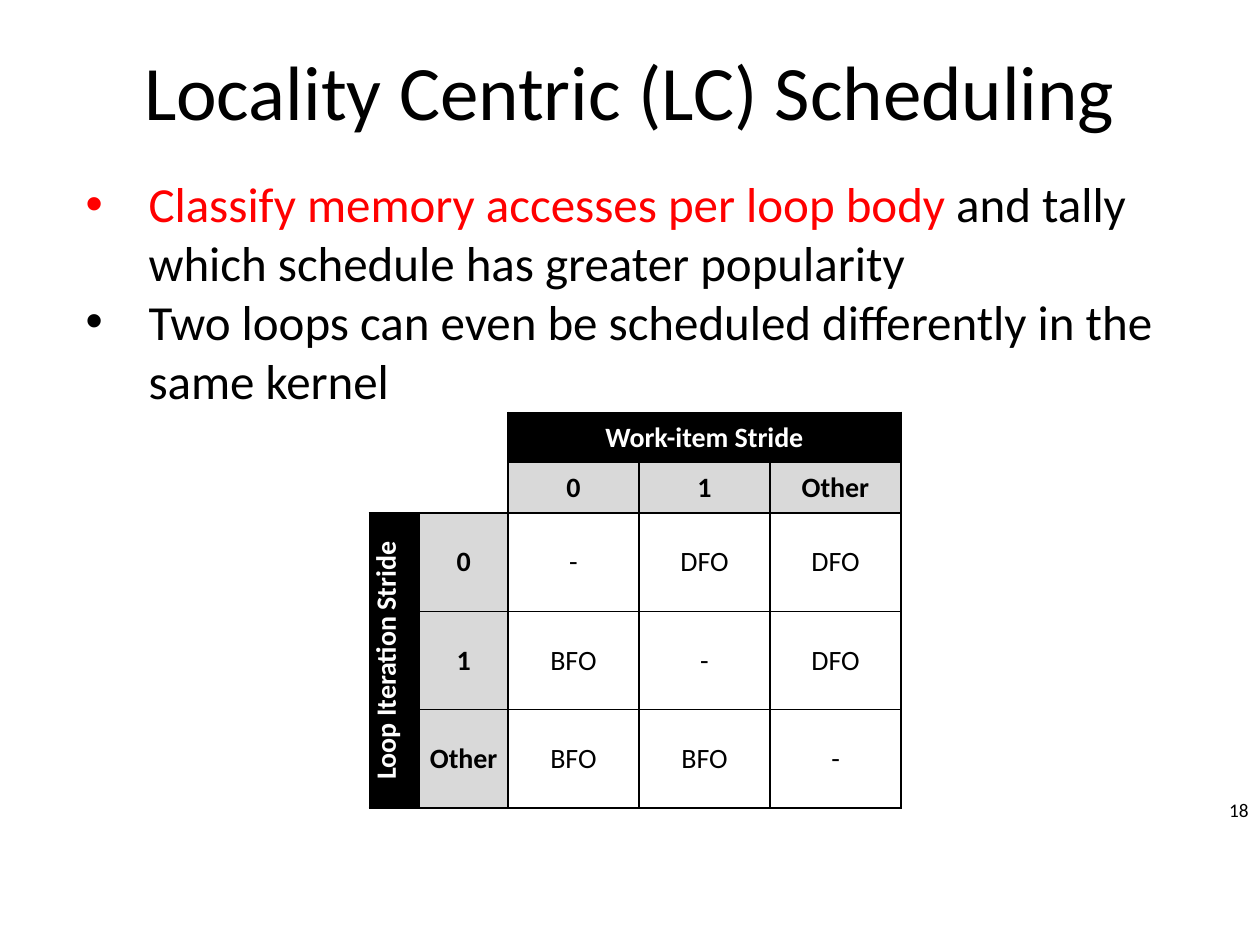
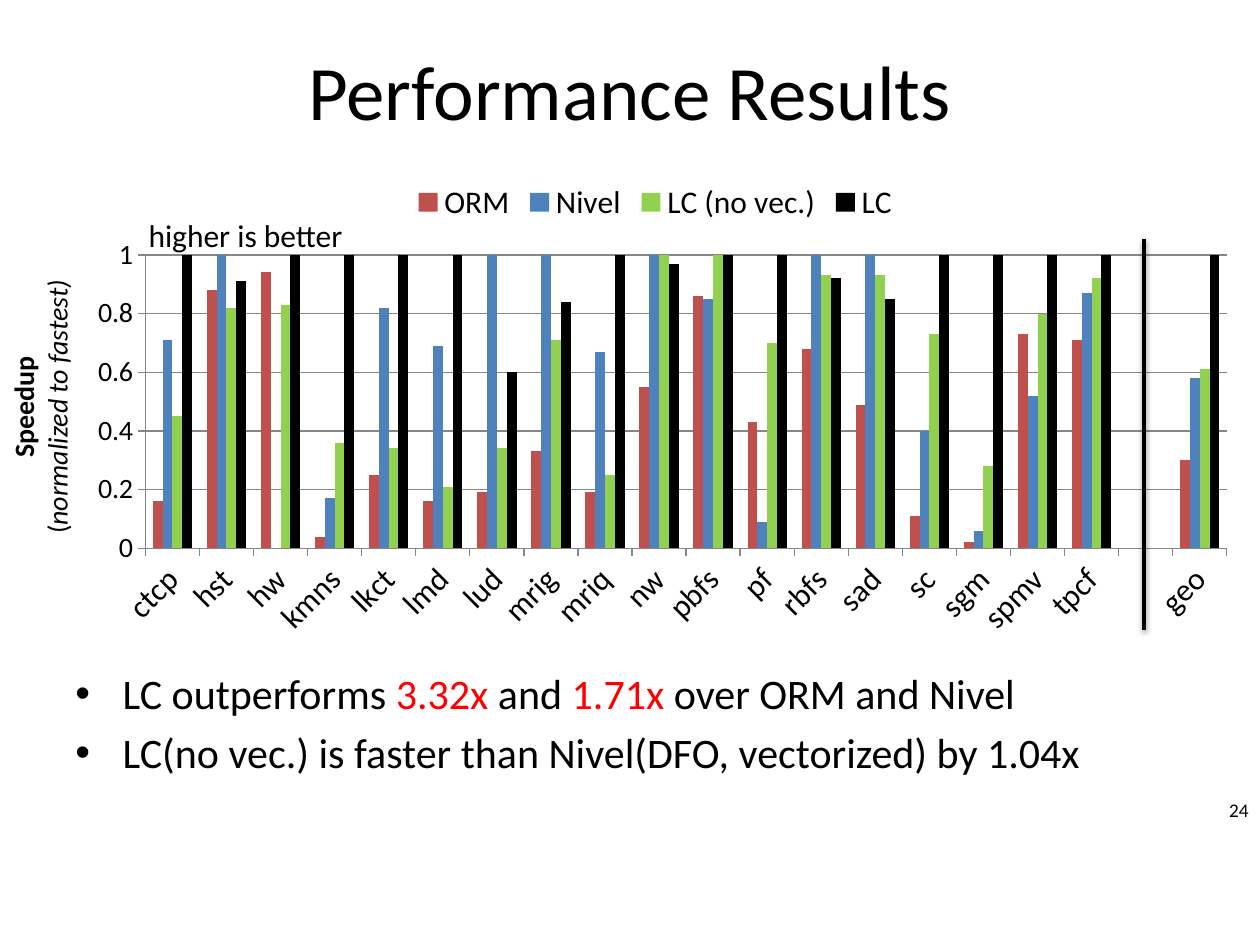
from lxml import etree
from pptx import Presentation
from pptx.chart.data import CategoryChartData
from pptx.dml.color import RGBColor
from pptx.enum.chart import XL_CHART_TYPE, XL_LEGEND_POSITION, XL_TICK_MARK
from pptx.enum.shapes import MSO_CONNECTOR
from pptx.enum.text import MSO_ANCHOR, PP_ALIGN
from pptx.oxml import parse_xml
from pptx.oxml.ns import nsdecls, qn
from pptx.util import Pt

LEFT, CENTER, RIGHT = PP_ALIGN.LEFT, PP_ALIGN.CENTER, PP_ALIGN.RIGHT
TOP, MIDDLE = MSO_ANCHOR.TOP, MSO_ANCHOR.MIDDLE
COLUMNS = XL_CHART_TYPE.COLUMN_CLUSTERED
LEGEND_TOP = XL_LEGEND_POSITION.TOP
TICK_OUT = XL_TICK_MARK.OUTSIDE
STRAIGHT = MSO_CONNECTOR.STRAIGHT

FONT = "Calibri"
BLACK, WHITE, RED = "000000", "FFFFFF", "FF0000"
HEADER_GRAY, GRID_GRAY = "D9D9D9", "868686"
rgb = RGBColor.from_string


def write_runs(paragraph, runs, size, align):
    paragraph.alignment = align
    for text, color, style in runs:
        run = paragraph.add_run()
        run.text = text
        run.font.name = FONT
        run.font.size = Pt(size)
        run.font.bold = "b" in style
        run.font.italic = "i" in style
        run.font.color.rgb = rgb(color)


def add_text(slide, box, paragraphs, size, align=LEFT, anchor=TOP, hang=0, before=0, wrap=True):
    frame = slide.shapes.add_textbox(*map(Pt, box)).text_frame
    frame.word_wrap = wrap
    frame.vertical_anchor = anchor
    for index, runs in enumerate(paragraphs):
        paragraph = frame.add_paragraph() if index else frame.paragraphs[0]
        write_runs(paragraph, runs, size, align)
        if before:
            paragraph.space_before = Pt(before)
        if hang:
            properties = paragraph._p.get_or_add_pPr()
            properties.set("marL", str(Pt(hang)))
            properties.set("indent", str(-Pt(hang)))
            etree.SubElement(properties, qn("a:buFont")).set("typeface", "Arial")
            etree.SubElement(properties, qn("a:buChar")).set("char", "•")
    return frame


prs = Presentation()
prs.slide_width, prs.slide_height = Pt(720), Pt(540)
slides = []
for title, number in [("Locality Centric (LC) Scheduling", "18"), ("Performance Results", "24")]:
    slide = prs.slides.add_slide(prs.slide_layouts[6])
    add_text(slide, (36, 21.6, 648, 90), [[(title, BLACK, "")]], 44, CENTER)
    page = add_text(slide, (684.7, 455.8, 35.3, 14.4), [[(number, BLACK, "")]], 11, RIGHT, MIDDLE)
    page.margin_left = page.margin_right = Pt(6.5)
    page.margin_top = page.margin_bottom = Pt(2.9)
    slides.append(slide)
scheduling, results = slides

stride_rows = [
    ["", "", "Work-item Stride", "", ""],
    ["", "", "0", "1", "Other"],
    ["Loop Iteration Stride", "0", "-", "DFO", "DFO"],
    ["", "1", "BFO", "-", "DFO"],
    ["", "Other", "BFO", "BFO", "-"],
]
corner_borders = {(0, 0): "", (0, 1): "R", (1, 0): "B", (1, 1): "RB"}
column_widths = [28.8, 50.4, 74.9, 74.9, 74.9]
row_heights = [28.8, 28.8, 56.2, 56.2, 56.2]
strides = scheduling.shapes.add_table(
    5, 5, Pt(211), Pt(235.6), Pt(sum(column_widths)), Pt(sum(row_heights))).table
strides.first_row = strides.horz_banding = False
for column, width in zip(strides.columns, column_widths):
    column.width = Pt(width)
for row, height in zip(strides.rows, row_heights):
    row.height = Pt(height)

for r, labels in enumerate(stride_rows):
    for c, label in enumerate(labels):
        cell = strides.cell(r, c)
        cell.margin_left = cell.margin_right = cell.margin_top = cell.margin_bottom = 0
        cell.vertical_anchor = MIDDLE
        cell_properties = cell._tc.get_or_add_tcPr()
        for side in "LRTB":
            border = etree.SubElement(cell_properties, qn("a:ln" + side), w=str(Pt(1)))
            if side in corner_borders.get((r, c), "LRTB"):
                solid = etree.SubElement(border, qn("a:solidFill"))
                etree.SubElement(solid, qn("a:srgbClr"), val=BLACK)
            else:
                etree.SubElement(border, qn("a:noFill"))
        fill, color, style = None, BLACK, ""
        if (r, c) not in corner_borders:
            if r == 0 or c == 0:
                fill, color, style = BLACK, WHITE, "b"
            elif r == 1 or c == 1:
                fill, style = HEADER_GRAY, "b"
        if fill:
            cell.fill.solid()
            cell.fill.fore_color.rgb = rgb(fill)
        else:
            cell.fill.background()
        if label:
            write_runs(cell.text_frame.paragraphs[0], [(label, color, style)], 16, CENTER)
strides.cell(0, 2).merge(strides.cell(0, 4))
strides.cell(2, 0).merge(strides.cell(4, 0))
strides.cell(2, 0)._tc.get_or_add_tcPr().set("vert", "vert270")

add_text(scheduling, (41.8, 95.8, 635.8, 143.3), [
    [("Classify memory accesses per loop body ", RED, ""),
     ("and tally which schedule has greater popularity", BLACK, "")],
    [("Two loops can even be scheduled differently in the same kernel", BLACK, "")],
], 28, hang=36)

benchmarks = ["ctcp", "hst", "hw", "kmns", "lkct", "lmd", "lud", "mrig", "mriq", "nw",
              "pbfs", "pf", "rbfs", "sad", "sc", "sgm", "spmv", "tpcf", "", "geo"]
speedups = [
    ("ORM", "C0504D", [0.16, 0.88, 0.94, 0.04, 0.25, 0.16, 0.19, 0.33, 0.19, 0.55,
                       0.86, 0.43, 0.68, 0.49, 0.11, 0.02, 0.73, 0.71, None, 0.3]),
    ("Nivel", "4F81BD", [0.71, 1, None, 0.17, 0.82, 0.69, 1, 1, 0.67, 1,
                         0.85, 0.09, 1, 1, 0.4, 0.06, 0.52, 0.87, None, 0.58]),
    ("LC (no vec.)", "92D050", [0.45, 0.82, 0.83, 0.36, 0.34, 0.21, 0.34, 0.71, 0.25, 1,
                                1, 0.7, 0.93, 0.93, 0.73, 0.28, 0.8, 0.92, None, 0.61]),
    ("LC", BLACK, [1, 0.91, 1, 1, 1, 1, 0.6, 0.84, 1, 0.97,
                   1, 1, 0.92, 0.85, 1, 1, 1, 1, None, 1]),
]
speedup_data = CategoryChartData()
speedup_data.categories = benchmarks
for name, color, values in speedups:
    speedup_data.add_series(name, values)
chart = results.shapes.add_chart(
    COLUMNS, Pt(41.8), Pt(95.8), Pt(665.3), Pt(278.6), speedup_data).chart
chart.has_title = False
chart.font.name = FONT
chart.font.size = Pt(18)
chart.font.color.rgb = rgb(BLACK)
chart.has_legend = True
chart.legend.position = LEGEND_TOP
chart.legend.include_in_layout = False
bars = chart.plots[0]
bars.gap_width, bars.overlap = 150, 0
bars.vary_by_categories = False
for series, (name, color, values) in zip(bars.series, speedups):
    series.format.fill.solid()
    series.format.fill.fore_color.rgb = rgb(color)
    series.invert_if_negative = False

speedup_axis, benchmark_axis = chart.value_axis, chart.category_axis
speedup_axis.minimum_scale, speedup_axis.maximum_scale = 0, 1
speedup_axis.major_unit = 0.2
speedup_axis.has_major_gridlines = True
speedup_axis.tick_labels.font.size = Pt(16)
benchmark_axis.tick_labels.font.size = Pt(18)
benchmark_axis._element.find(qn("c:txPr")).find(qn("a:bodyPr")).set("rot", "-2700000")
for axis in (speedup_axis, benchmark_axis):
    axis.major_tick_mark = TICK_OUT
for ruled in (speedup_axis, benchmark_axis, speedup_axis.major_gridlines):
    ruled.format.line.color.rgb = rgb(GRID_GRAY)
    ruled.format.line.width = Pt(0.75)

plot_area = chart._chartSpace.chart.plotArea
for automatic in plot_area.findall(qn("c:layout")):
    plot_area.remove(automatic)
layout = etree.Element(qn("c:layout"))
manual = etree.SubElement(layout, qn("c:manualLayout"))
for tag, value in [("layoutTarget", "inner"), ("xMode", "edge"), ("yMode", "edge"),
                   ("x", "0.062"), ("y", "0.179"), ("w", "0.929"), ("h", "0.602")]:
    etree.SubElement(manual, qn("c:" + tag)).set("val", value)
plot_area.insert(0, layout)

axis_caption = add_text(results, (0, 90, 53.3, 285), [
    [("Speedup", BLACK, "b")],
    [("(", BLACK, ""), ("normalized to fastest)", BLACK, "i")],
], 16, CENTER)
axis_caption._txBody.bodyPr.set("vert", "vert270")

add_text(results, (36, 378, 648, 80.6), [
    [("LC outperforms ", BLACK, ""), ("3.32x", RED, ""), (" and ", BLACK, ""),
     ("1.71x", RED, ""), (" over ORM and Nivel", BLACK, "")],
    [("LC(no vec.) is faster than Nivel(DFO, vectorized) by 1.04x", BLACK, "")],
], 24, hang=27, before=4.8)
add_text(results, (77.8, 120.2, 127.4, 28.8), [[("higher is better", BLACK, "")]], 18, wrap=False)

geo_divider = results.shapes.add_connector(STRAIGHT, Pt(653.8), Pt(136.8), Pt(653.8), Pt(360))
geo_divider.line.color.rgb = rgb(BLACK)
geo_divider.line.width = Pt(2)
geo_divider._element.spPr.append(parse_xml(
    f'<a:effectLst {nsdecls("a")}>'
    f'<a:outerShdw blurRad="{Pt(3.1)}" dist="{Pt(1.6)}" dir="5400000" rotWithShape="0">'
    f'<a:srgbClr val="{BLACK}"><a:alpha val="38000"/></a:srgbClr>'
    '</a:outerShdw></a:effectLst>'))

prs.save("out.pptx")
